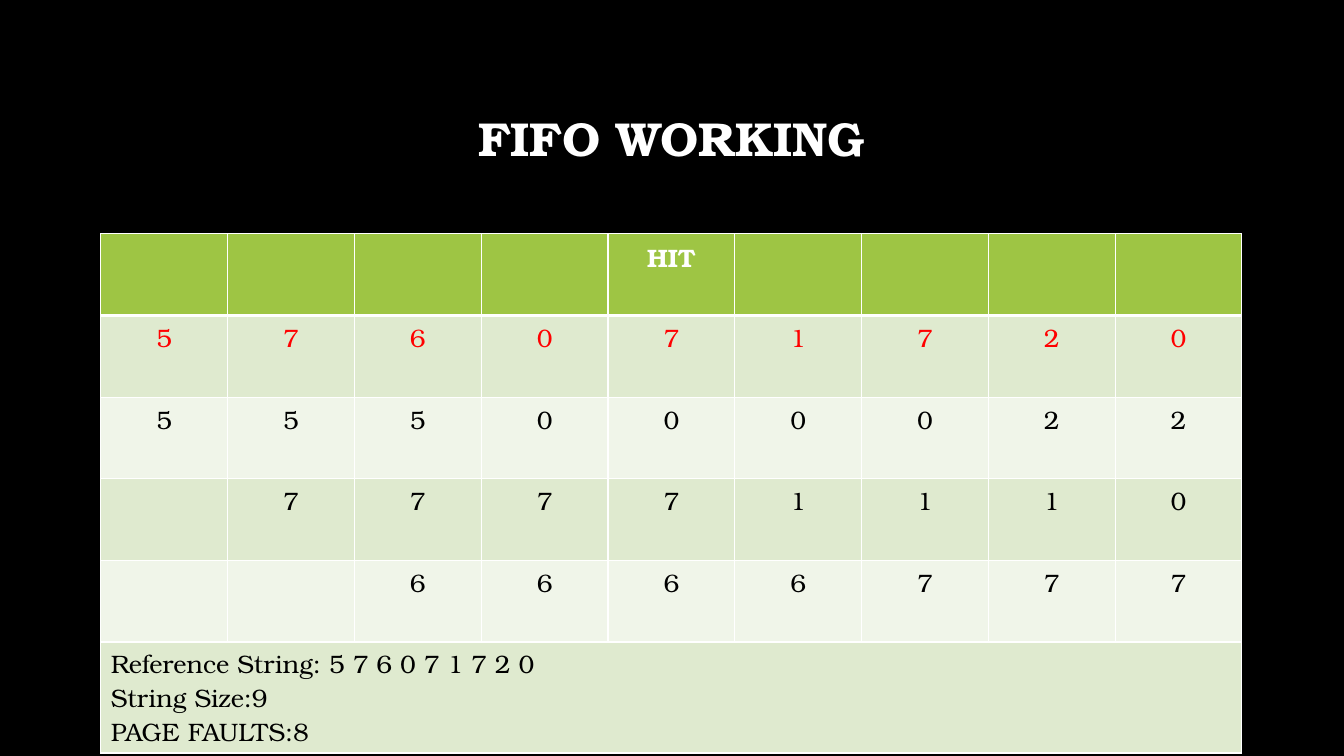
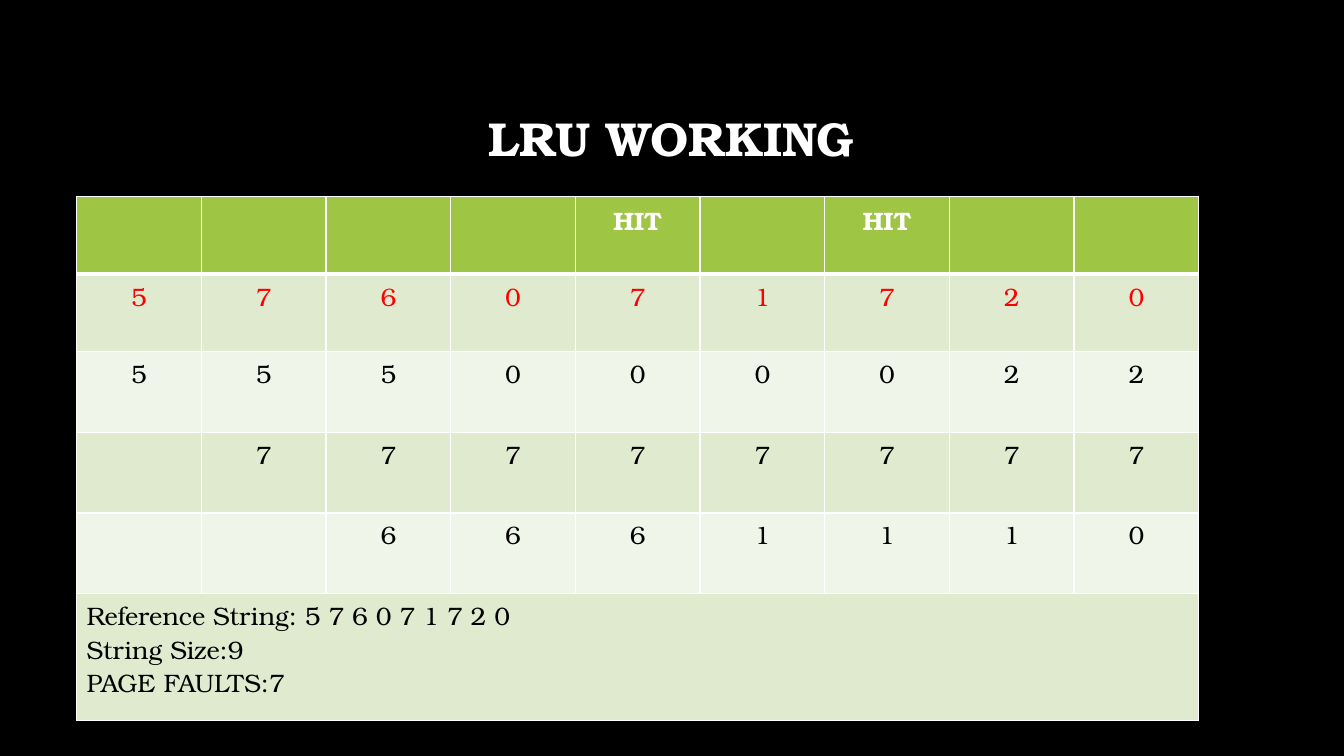
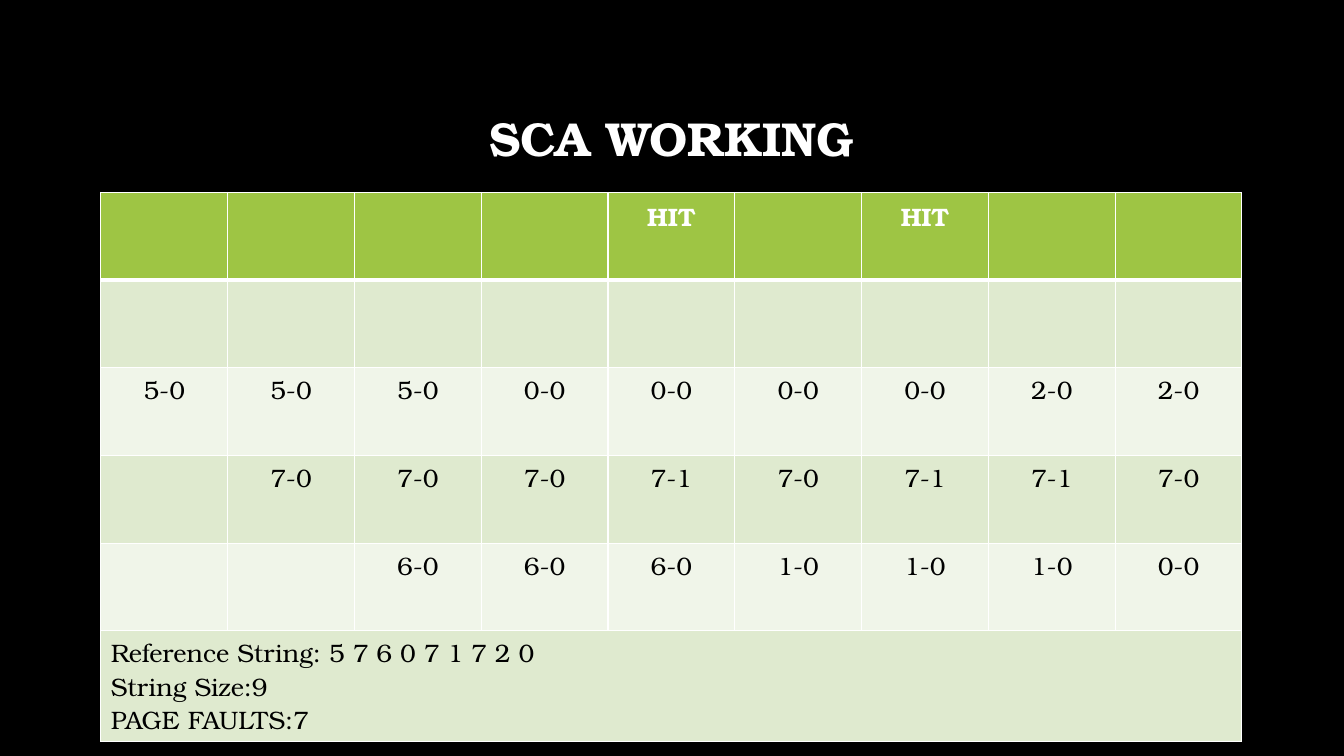
"""Three page replacement walkthroughs (FIFO, LRU, SCA), each a title over a frame table."""
import dataclasses

import pptx
import pptx.dml.color
import pptx.enum.text
import pptx.oxml
import pptx.oxml.ns
import pptx.util

REFERENCE = "5 7 6 0 7 1 7 2 0"
COLUMNS = len(REFERENCE.split())

SLIDES = [
    {
        "title": "FIFO WORKING",
        "hits": [4],
        "references": REFERENCE.split(),
        "frames": ["5 5 5 0 0 0 0 2 2", "7 7 7 7 1 1 1 0", "6 6 6 6 7 7 7"],
        "faults": 8,
        "origin": (1, 2.32),
        "width": 11.32,
        "rows": [0.81] * 6,
    },
    {
        "title": "LRU WORKING",
        "hits": [4, 6],
        "references": REFERENCE.split(),
        "frames": ["5 5 5 0 0 0 0 2 2", "7 7 7 7 7 7 7 7", "6 6 6 1 1 1 0"],
        "faults": 7,
        "origin": (0.76, 1.95),
        "width": 11.13,
        "rows": [0.77] * 2 + [0.8] * 3 + [1.26] + [],
    },
    {
        "title": "SCA WORKING",
        "hits": [4, 6],
        "references": [""] * COLUMNS,
        "frames": [
            "5-0 5-0 5-0 0-0 0-0 0-0 0-0 2-0 2-0",
            "7-0 7-0 7-0 7-1 7-0 7-1 7-1 7-0",
            "6-0 6-0 6-0 1-0 1-0 1-0 0-0",
        ],
        "faults": 7,
        "origin": (1, 1.91),
        "width": 11.32,
        "rows": [0.87] * 5 + [0.96],
    },
]


@dataclasses.dataclass(frozen=True)
class Theme:
    font: str = "TeX Gyre Bonum"
    background: str = "000000"
    light: str = "FFFFFF"
    dark: str = "000000"
    accent: str = "FF0000"
    header: str = "9EC544"
    bands: tuple = ("F0F5E9", "DFEACF")
    title_size: int = 34
    cell_size: int = 18
    border: int = 1
    header_border: int = 3


THEME = Theme()
CENTER = pptx.enum.text.PP_ALIGN.CENTER
LEFT = pptx.enum.text.PP_ALIGN.LEFT
inches = pptx.util.Inches


def rgb(color):
    return pptx.dml.color.RGBColor.from_string(color)


def add_run(p, text, size, color, bold=False):
    r = p.add_run()
    r.text = text
    r.font.name = THEME.font
    r.font.size = pptx.util.Pt(size)
    r.font.bold = bold
    r.font.color.rgb = rgb(color)


def set_borders(cell, top, bottom):
    tc_pr = cell._tc.get_or_add_tcPr()
    widths = {"L": THEME.border, "R": THEME.border, "T": top, "B": bottom}
    for side, width in widths.items():
        tc_pr.append(pptx.oxml.parse_xml(
            f'<a:ln{side} {pptx.oxml.ns.nsdecls("a")} w="{pptx.util.Pt(width)}">'
            f'<a:solidFill><a:srgbClr val="{THEME.light}"/></a:solidFill></a:ln{side}>'))


def fill_cell(cell, row, lines, color, align):
    set_borders(cell,
                THEME.header_border if row == 1 else THEME.border,
                THEME.header_border if row == 0 else THEME.border)
    cell.fill.solid()
    cell.fill.fore_color.rgb = rgb(THEME.bands[row % 2] if row else THEME.header)
    tf = cell.text_frame
    for i, line in enumerate(lines):
        p = tf.add_paragraph() if i else tf.paragraphs[0]
        p.alignment = align
        add_run(p, line, THEME.cell_size, color, bold=row == 0)


def table_rows(content):
    hits = ["HIT" if i in content["hits"] else "" for i in range(COLUMNS)]
    frames = [frame.split() for frame in content["frames"]]
    padded = [[""] * (COLUMNS - len(frame)) + frame for frame in frames]
    return [hits, content["references"], *padded]


def add_frame_table(s, content):
    heights = content["rows"]
    left, top = content["origin"]
    table = s.shapes.add_table(
        len(heights), COLUMNS, inches(left), inches(top),
        inches(content["width"]), inches(sum(heights))).table
    table.first_row = table.horz_banding = False
    for row, height in zip(table.rows, heights):
        row.height = inches(height)

    colors = [THEME.light, THEME.accent] + [THEME.dark] * len(content["frames"])
    for row, (values, color) in enumerate(zip(table_rows(content), colors)):
        for column, value in enumerate(values):
            fill_cell(table.cell(row, column), row, [value] if value else [], color, CENTER)

    last = len(heights) - 1
    summary = [f"Reference String: {REFERENCE}", f"String Size:{COLUMNS}",
               f"PAGE FAULTS:{content['faults']}"]
    table.cell(last, 0).merge(table.cell(last, COLUMNS - 1))
    for column in range(COLUMNS):
        fill_cell(table.cell(last, column), last, [] if column else summary, THEME.dark, LEFT)


def add_title(s, text):
    tf = s.shapes.title.text_frame
    p = tf.paragraphs[0]
    p.alignment = CENTER
    p.line_spacing = 0.9
    add_run(p, text, THEME.title_size, THEME.light, bold=True)


def prepare_layout(prs):
    fill = prs.slide_master.background.fill
    fill.solid()
    fill.fore_color.rgb = rgb(THEME.background)
    layout = prs.slide_layouts.get_by_name("Title Only")
    title = layout.placeholders[0]
    title.left, title.top, title.width, title.height = map(inches, (1, 0.67, 11.32, 1.45))
    title.text_frame.vertical_anchor = pptx.enum.text.MSO_ANCHOR.MIDDLE
    return layout


def main():
    prs = pptx.Presentation()
    prs.slide_width, prs.slide_height = inches(13.33), inches(7.5)
    layout = prepare_layout(prs)
    for content in SLIDES:
        s = prs.slides.add_slide(layout)
        add_title(s, content["title"])
        add_frame_table(s, content)
    prs.save("out.pptx")


if __name__ == "__main__":
    main()
